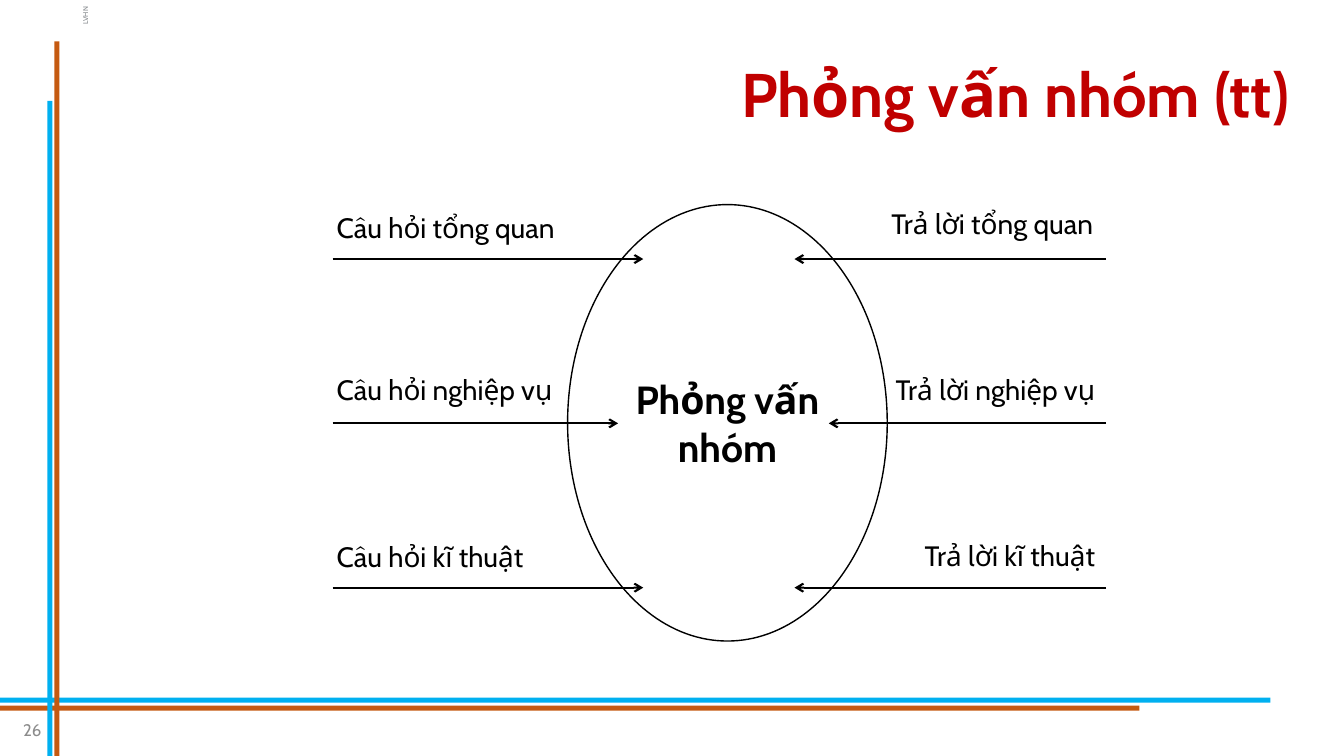
"""Build the group interview slide: three questions and three answers around an ellipse."""
from lxml import etree
from pptx import Presentation
from pptx.dml.color import RGBColor
from pptx.enum.shapes import MSO_CONNECTOR as LINE, MSO_SHAPE as SHAPE
from pptx.enum.text import MSO_ANCHOR as ANCHOR, PP_ALIGN as ALIGN
from pptx.oxml.ns import qn
from pptx.util import Inches, Pt

WIDTH, HEIGHT = 13.33, 7.5
BAR = 0.05
ROW_TOP, ROW_STEP = 2.57, 1.63
LEFT_EDGE, RIGHT_EDGE = 3.3, 10.97


def color(hex_code):
    return RGBColor.from_string(hex_code)


def write(holder, text, align, anchor=ANCHOR.TOP, wrap=True, spacing=1, **font):
    frame = holder.text_frame
    frame.word_wrap, frame.vertical_anchor = wrap, anchor
    line = frame.paragraphs[0]
    line.alignment, line.line_spacing = align, spacing
    run = line.add_run()
    run.text = text
    run.font.color.rgb = color(font.pop("ink", "000000"))
    for key, value in {"name": "Cabin", **font}.items():
        setattr(run.font, key, value)


deck = Presentation()
deck.slide_width, deck.slide_height = Inches(WIDTH), Inches(HEIGHT)
slide = deck.slides.add_slide(deck.slide_layouts[6])
shapes = slide.shapes

initials = shapes.add_textbox(*map(Inches, (0.66, 0.06, 0.38, 0.19)))
initials.rotation = 270
write(initials, "LVHN", ALIGN.CENTER, wrap=False, size=Pt(5), ink="808488")

bars = [
    (0, 6.92, 12.6, BAR, "00B0F0"),
    (0, 7, 11.3, BAR, "C55A11"),
    (0.47, 1, BAR, HEIGHT - 1, "00B0F0"),
    (0.54, 0.41, BAR, HEIGHT - 0.41, "C55A11"),
]
for *box, fill in bars:
    bar = shapes.add_shape(SHAPE.RECTANGLE, *map(Inches, box))
    bar.shadow.inherit = False
    bar.fill.solid()
    bar.fill.fore_color.rgb = color(fill)
    bar.line.fill.background()

title = shapes.add_textbox(*map(Inches, (0.92, 0.24, 11.97, 1.45)))
write(title, "Phỏng vấn nhóm (tt)", ALIGN.RIGHT, ANCHOR.MIDDLE, spacing=0.9,
      size=Pt(44), bold=True, ink="C00000")

interview = shapes.add_shape(SHAPE.OVAL, *map(Inches, (5.63, 2.03, 3.17, 4.33)))
interview.shadow.inherit = False
interview.fill.solid()
interview.fill.fore_color.rgb = color("FFFFFF")
interview.line.color.rgb = color("000000")
interview.line.width = Pt(1)
write(interview, "Phỏng vấn nhóm", ALIGN.CENTER, ANCHOR.MIDDLE, size=Pt(28), bold=True)

topics = [
    ("tổng quan", 6.38, 7.88, 2.04, 2),
    ("nghiệp vụ", 6.13, 8.22, 3.65, 3.65),
    ("kĩ thuật", 6.38, 7.88, 5.3, 5.29),
]
for row, (topic, question_tip, answer_tip, question_top, answer_top) in enumerate(topics):
    y = ROW_TOP + row * ROW_STEP
    sides = [
        ("Câu hỏi", LEFT_EDGE, question_tip, 3.24, question_top, ALIGN.LEFT),
        ("Trả lời", RIGHT_EDGE, answer_tip, 8.29 if row else 8.27, answer_top, ALIGN.RIGHT),
    ]
    for kind, start, tip, left, top, align in sides:
        arrow = shapes.add_connector(LINE.STRAIGHT, *map(Inches, (start, y, tip, y)))
        arrow.line.color.rgb = color("000000")
        arrow.line.width = Pt(1.5)
        outline = arrow.line._get_or_add_ln()
        etree.SubElement(outline, qn("a:tailEnd"), type="arrow")
        etree.SubElement(outline.getparent(), qn("a:effectLst"))
        label = shapes.add_textbox(*map(Inches, (left, top, 2.67, 0.44)))
        write(label, f"{kind} {topic}", align, size=Pt(20))

page = shapes.add_textbox(*map(Inches, (0, 7.04, 0.51, 0.4)))
write(page, "26", ALIGN.RIGHT, ANCHOR.MIDDLE, size=Pt(12), ink="8C8C8C")

deck.save("out.pptx")
